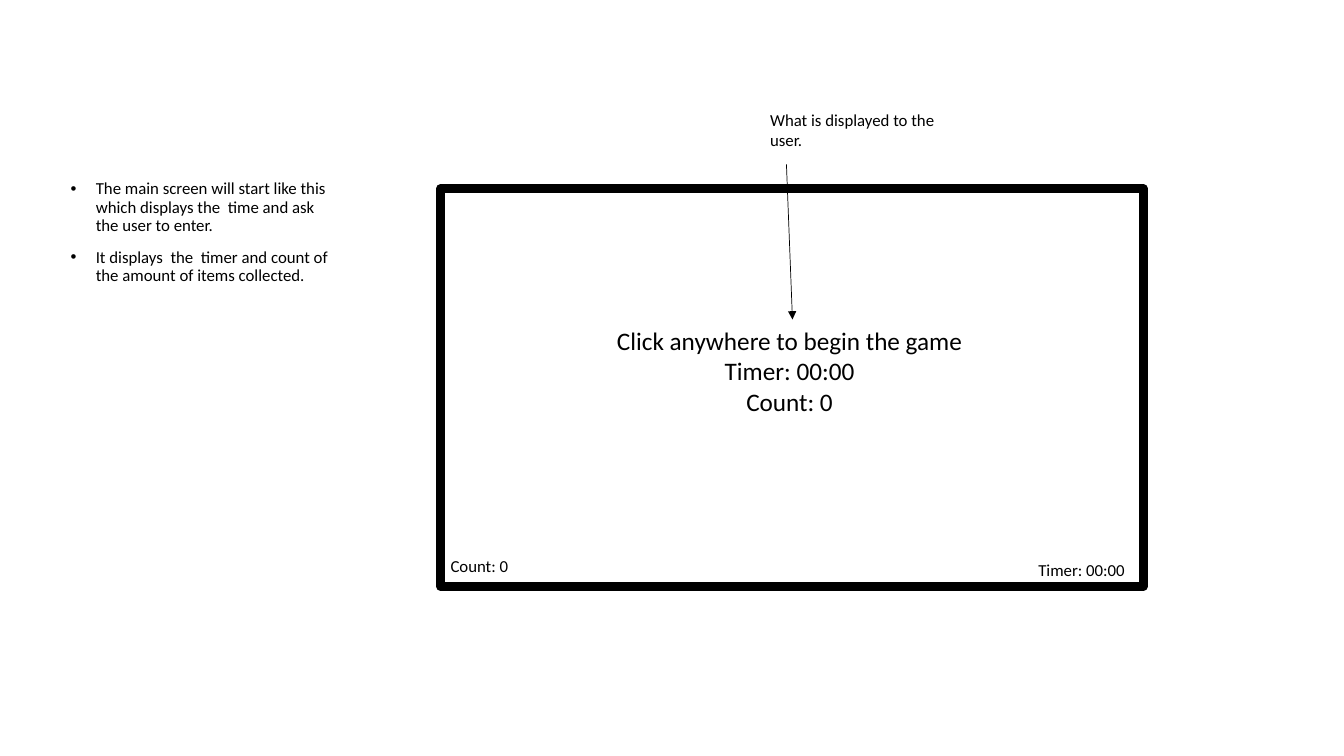
from dataclasses import dataclass

from lxml import etree
from pptx import Presentation, util as u
from pptx.dml.color import RGBColor
from pptx.enum import shapes, text
from pptx.oxml.ns import qn


@dataclass(frozen=True)
class Theme:
    font: str = "Calibri"
    ink: RGBColor = RGBColor(0, 0, 0)
    paper: RGBColor = RGBColor(255, 255, 255)
    note_size: int = 12
    prompt_size: int = 18
    frame_width: float = 6
    arrow_width: float = 0.5


THEME = Theme()


def place(shape, left, top, width, height):
    shape.left, shape.top = u.Inches(left), u.Inches(top)
    shape.width, shape.height = u.Inches(width), u.Inches(height)


def write(frame, lines, size, align=text.PP_ALIGN.LEFT):
    frame.word_wrap = True
    for index, line in enumerate(lines):
        para = frame.paragraphs[0] if index == 0 else frame.add_paragraph()
        para.alignment = align
        span = para.add_run()
        span.text = line
        span.font.name = THEME.font
        span.font.size = u.Pt(size)
        span.font.color.rgb = THEME.ink


def add_label(page, box, lines, size=THEME.note_size, align=text.PP_ALIGN.LEFT):
    label = page.shapes.add_textbox(*map(u.Inches, box))
    write(label.text_frame, lines, size, align)
    label.text_frame.auto_size = text.MSO_AUTO_SIZE.SHAPE_TO_FIT_TEXT


def add_description(page, box, lines):
    body = page.placeholders[1]
    place(body, *box)
    frame = body.text_frame
    write(frame, lines, THEME.note_size)
    frame.auto_size = text.MSO_AUTO_SIZE.NONE
    frame.vertical_anchor = text.MSO_ANCHOR.TOP
    for para in frame.paragraphs:
        para.line_spacing = 0.9
        para.space_before = u.Pt(10)
        props = para._p.get_or_add_pPr()
        props.set("marL", str(u.Inches(0.25)))
        props.set("indent", str(u.Inches(-0.25)))
        etree.SubElement(props, qn("a:buFont")).set("typeface", "Arial")
        etree.SubElement(props, qn("a:buChar")).set("char", "•")


def add_arrow(page, start, end):
    arrow = page.shapes.add_connector(
        shapes.MSO_CONNECTOR.STRAIGHT, *map(u.Inches, start + end))
    arrow.line.color.rgb = THEME.ink
    arrow.line.width = u.Pt(THEME.arrow_width)
    etree.SubElement(arrow.line._get_or_add_ln(), qn("a:tailEnd")).set("type", "triangle")
    etree.SubElement(arrow._element.spPr, qn("a:effectLst"))


def add_game_screen(page, box):
    left, top, width, height = box
    screen = page.shapes.add_shape(shapes.MSO_SHAPE.RECTANGLE, *map(u.Inches, box))
    screen.shadow.inherit = False
    screen.fill.solid()
    screen.fill.fore_color.rgb = THEME.paper
    screen.line.color.rgb = THEME.ink
    screen.line.width = u.Pt(THEME.frame_width)

    bottom = top + height
    add_arrow(page, (left + 3.43, top - 0.24), (left + 3.49, top + 1.3))
    add_label(page, (left + 3.17, top - 0.83, 1.83, 0.5), ["What is displayed to the user."])
    add_label(page, (left, bottom - 0.36, 1.63, 0.3), ["Count: 0 "])
    add_label(page, (left + 5.83, bottom - 0.32, 1.63, 0.3), ["Timer: 00:00"])
    add_label(page, (left + 1.09, top + 1.31, 4.8, 1.01),
              ["Click anywhere to begin the game ", "Timer: 00:00 ", "Count: 0 "],
              THEME.prompt_size, text.PP_ALIGN.CENTER)


def build_main_screen(deck):
    page = deck.slides.add_slide(deck.slide_layouts.get_by_name("Title and Content"))
    title = page.shapes.title._element
    title.getparent().remove(title)
    add_description(page, (0.6, 1.74, 2.87, 3.91), [
        "The main screen will start like this which displays the  time "
        "and ask the user to enter. ",
        "It displays  the  timer and count of the amount of items collected. ",
    ])
    add_game_screen(page, (4.37, 1.87, 6.97, 3.95))


deck = Presentation()
deck.slide_width, deck.slide_height = u.Inches(13.33), u.Inches(7.5)
build_main_screen(deck)
deck.save("out.pptx")
